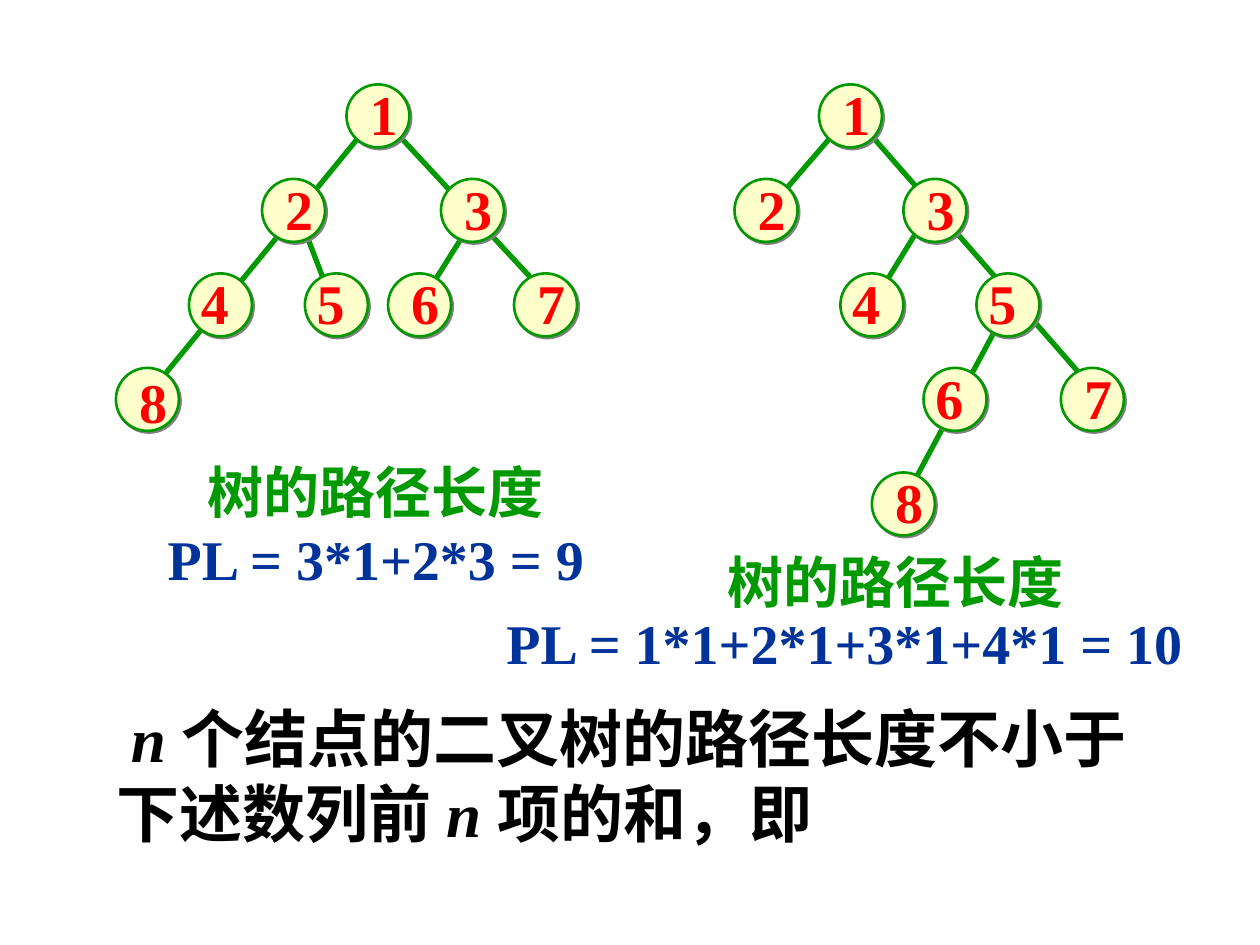
from lxml.etree import SubElement
from pptx import Presentation
from pptx.dml.color import RGBColor
from pptx.enum.shapes import MSO_CONNECTOR as Connector, MSO_SHAPE as Preset
from pptx.enum.text import MSO_ANCHOR as Anchor, PP_ALIGN as Align
from pptx.oxml.ns import qn
from pptx.util import Inches, Pt

GREEN, BLUE, RED, BLACK = "009900", "003399", "FF0000", "000000"
CREAM, GRAY = "FFFFCC", "808080"
NODE_SIZE = 0.5
LABEL_WIDTH, LABEL_HEIGHT = 0.59, 0.64

LEFT_EDGES = [
    (3.75, 1.75, 3.33, 2.42),
    (2.42, 1.83, 2.58, 2.25),
    (3.17, 1.08, 4.33, 2.33),
    (2.92, 1, 1.08, 3.25),
]
RIGHT_EDGES = [
    (7.33, 1.75, 6.92, 2.42),
    (7.92, 2.58, 7.25, 3.83),
    (6.92, 1.08, 8.67, 3.08),
    (6.67, 1, 6.17, 1.58),
]
CENTERED, SHIFTED, LOWERED = (0, -0.09), (-0.09, -0.09), (0, -0.06)
LEFT_NODES = [
    ("1", 2.75, 0.67, CENTERED),
    ("2", 2.08, 1.42, CENTERED),
    ("3", 3.5, 1.42, CENTERED),
    ("4", 1.5, 2.17, SHIFTED),
    ("5", 2.42, 2.17, SHIFTED),
    ("6", 3.08, 2.17, CENTERED),
    ("7", 4.08, 2.17, CENTERED),
    ("8", 0.92, 2.92, LOWERED),
]
RIGHT_NODES = [
    ("1", 6.5, 0.67, CENTERED),
    ("2", 5.83, 1.42, CENTERED),
    ("3", 7.17, 1.42, CENTERED),
    ("4", 6.67, 2.17, SHIFTED),
    ("5", 7.75, 2.17, SHIFTED),
    ("6", 7.33, 2.92, SHIFTED),
    ("7", 8.42, 2.92, CENTERED),
    ("8", 6.92, 3.75, CENTERED),
]


def color(value):
    return RGBColor.from_string(value)


class TreeSlide:
    font_format = {"name": "Times New Roman", "bold": True}

    def __init__(self, slide):
        self.slide = slide

    def edge(self, x1, y1, x2, y2):
        points = map(Inches, (x1, y1, x2, y2))
        connector = self.slide.shapes.add_connector(Connector.STRAIGHT, *points)
        connector.line.color.rgb = color(GREEN)
        connector.line.width = Pt(3)
        SubElement(connector._element.spPr, qn("a:effectLst"))

    def node(self, left, top):
        box = map(Inches, (left, top, NODE_SIZE, NODE_SIZE))
        shape = self.slide.shapes.add_shape(Preset.OVAL, *box)
        shape.fill.solid()
        shape.fill.fore_color.rgb = color(CREAM)
        shape.line.color.rgb = color(GREEN)
        shape.line.width = Pt(1.5)
        shape.shadow.inherit = False
        effects = shape._element.spPr.find(qn("a:effectLst"))
        shadow = SubElement(effects, qn("a:outerShdw"), dist=str(Pt(1.4)), dir="2700000")
        SubElement(shadow, qn("a:srgbClr"), val=GRAY)

    def text(self, left, top, width, height, lines, anchor=Anchor.MIDDLE, inset=0.1, **layout):
        box = map(Inches, (left, top, width, height))
        frame = self.slide.shapes.add_textbox(*box).text_frame
        frame_format = {
            "word_wrap": True,
            "vertical_anchor": anchor,
            "margin_left": Inches(inset),
            "margin_right": Inches(inset),
        }
        for name, value in frame_format.items():
            setattr(frame, name, value)
        for index, (indents, runs) in enumerate(lines):
            paragraph = frame.add_paragraph() if index else frame.paragraphs[0]
            for name, value in layout.items():
                setattr(paragraph, name, value)
            for name, value in indents.items():
                paragraph._p.get_or_add_pPr().set(name, str(Inches(value)))
            for content, size, fill, italic in runs:
                run = paragraph.add_run()
                run.text = content
                font_format = {**self.font_format, "size": Pt(size), "italic": italic}
                for name, value in font_format.items():
                    setattr(run.font, name, value)
                run.font.color.rgb = color(fill)

    def label(self, number, left, top, offset):
        shift_x, shift_y = offset
        self.text(left + shift_x, top + shift_y, LABEL_WIDTH, LABEL_HEIGHT,
                  [({}, [(number, 32, RED, False)])], alignment=Align.CENTER)

    def path_length(self, box, formula, title_indent, spacing):
        lines = [
            ({"marL": title_indent}, [("树的路径长度", 32, GREEN, False)]),
            ({}, [(formula, 32, BLUE, False)]),
        ]
        self.text(*box, lines, inset=0, alignment=Align.CENTER, line_spacing=spacing)

    def tree(self, edges, nodes):
        for points in edges:
            self.edge(*points)
        for _, left, top, _ in nodes:
            self.node(left, top)
        for node in nodes:
            self.label(*node)


def main():
    presentation = Presentation()
    presentation.slide_width = Inches(10)
    presentation.slide_height = Inches(7.5)
    page = TreeSlide(presentation.slides.add_slide(presentation.slide_layouts[6]))

    page.tree(LEFT_EDGES, LEFT_NODES)
    page.tree(RIGHT_EDGES, RIGHT_NODES)
    page.path_length((1.22, 3.58, 3.53, 1.17), "PL = 3*1+2*3 = 9", 0, 1.0)
    page.path_length((3.91, 4.36, 5.59, 1.06), "PL = 1*1+2*1+3*1+4*1 = 10", 0.8, 0.9)

    variable = ("n ", 36, BLACK, True)
    conclusion = [
        ({"indent": 0.11}, [variable, ("个结点的二叉树的路径长度不小于", 36, BLACK, False)]),
        ({}, [("下述数列前 ", 36, BLACK, False), variable, ("项的和，即", 36, BLACK, False)]),
    ]
    page.text(0.83, 5.5, 8.5, 1.3, conclusion, anchor=Anchor.TOP)
    presentation.save("out.pptx")


if __name__ == "__main__":
    main()
